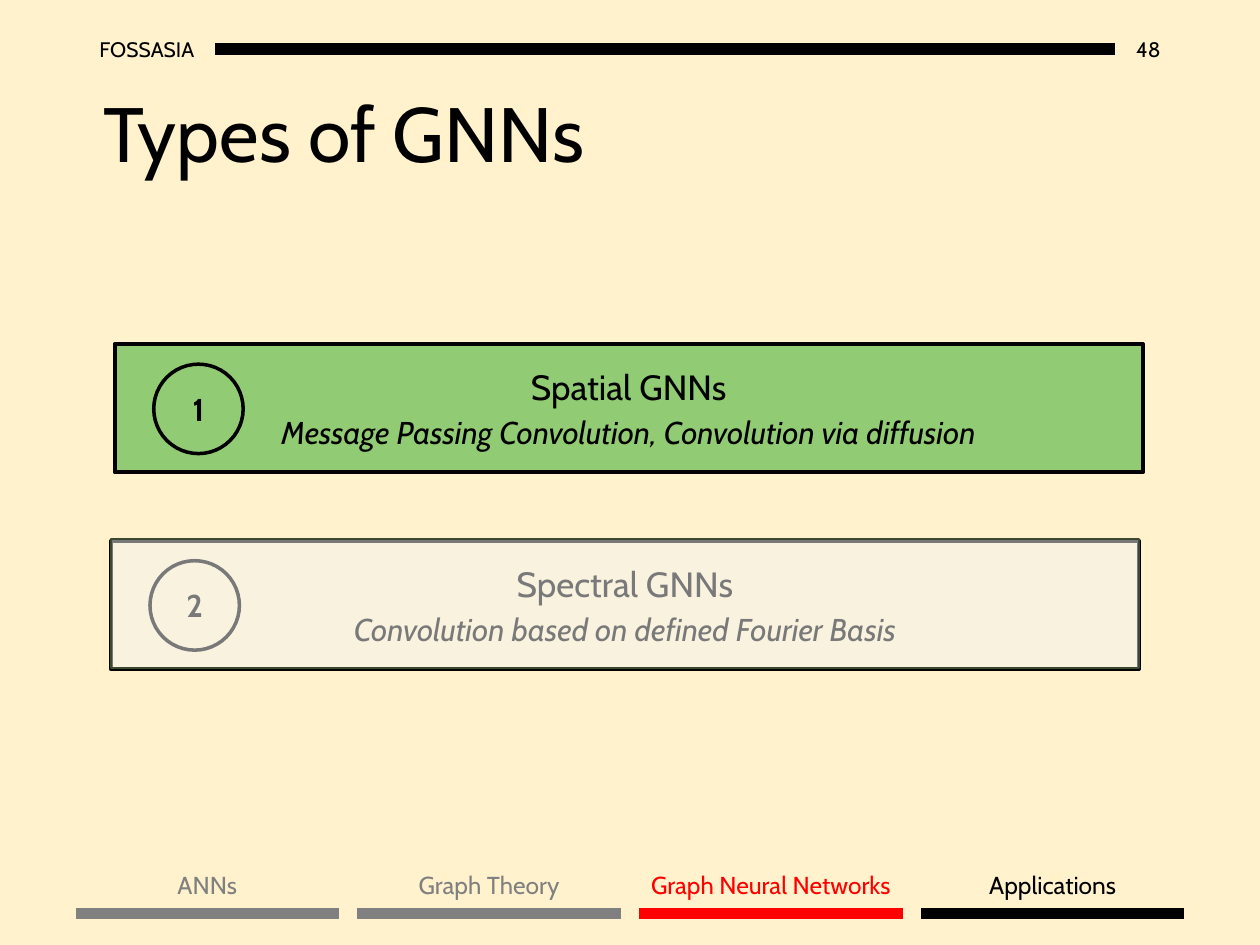
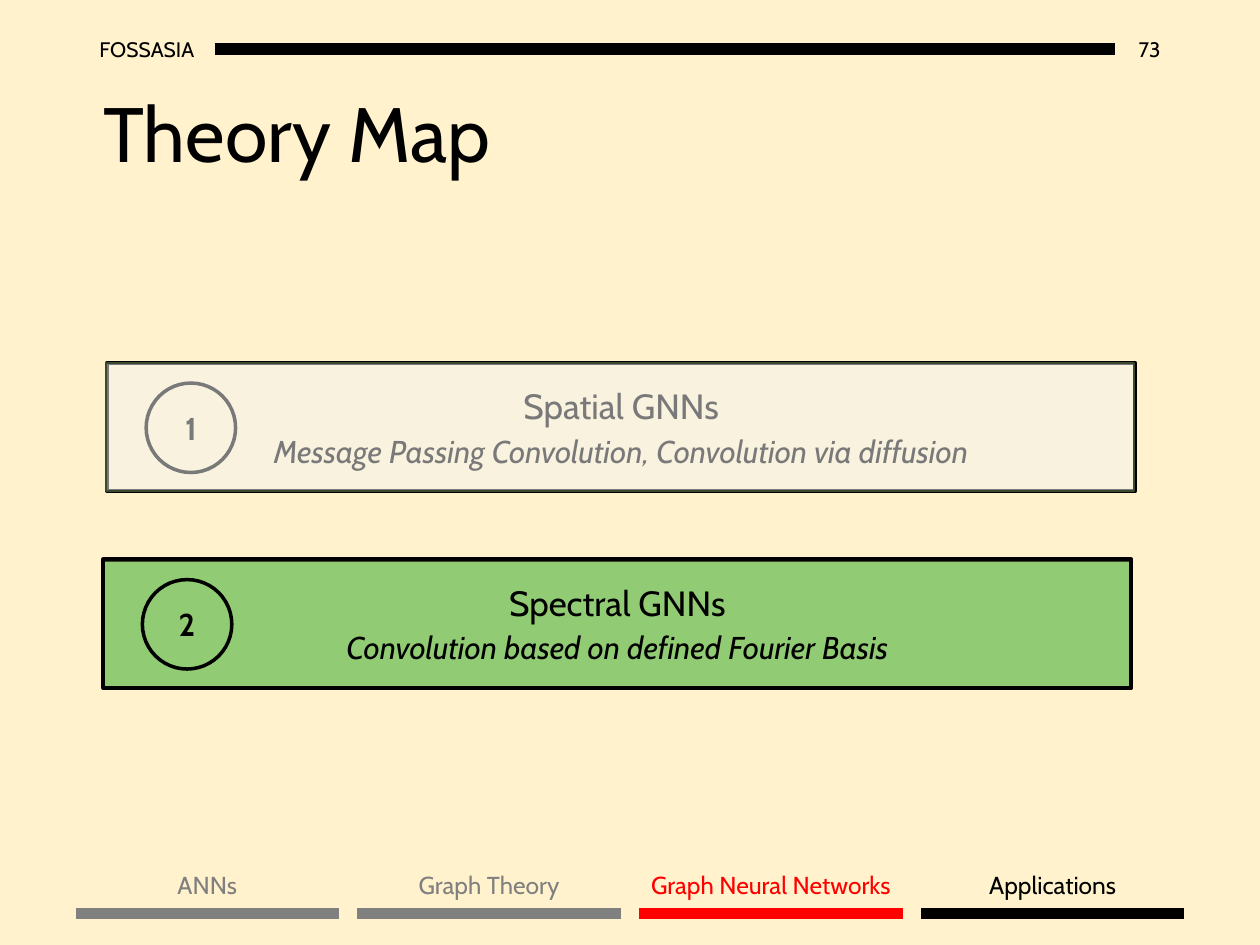
from dataclasses import dataclass
from typing import NamedTuple

from lxml import etree
from pptx import Presentation
from pptx.dml.color import RGBColor
from pptx.enum.shapes import MSO_CONNECTOR, MSO_SHAPE
from pptx.enum.text import MSO_ANCHOR, MSO_AUTO_SIZE, PP_ALIGN
from pptx.oxml.ns import qn
from pptx.util import Inches, Pt

RECT, OVAL = MSO_SHAPE.RECTANGLE, MSO_SHAPE.OVAL
STRAIGHT = MSO_CONNECTOR.STRAIGHT
LEFT, CENTER, RIGHT = PP_ALIGN.LEFT, PP_ALIGN.CENTER, PP_ALIGN.RIGHT
TOP, MIDDLE = MSO_ANCHOR.TOP, MSO_ANCHOR.MIDDLE
FIT_SHAPE, NO_FIT = MSO_AUTO_SIZE.SHAPE_TO_FIT_TEXT, MSO_AUTO_SIZE.NONE

WIDTH, HEIGHT = Inches(10), Inches(7.5)
COLUMNS, ROWS = 100, 75
TITLE_ONLY_LAYOUT = 5


@dataclass(frozen=True)
class Theme:
    font: str = "Cabin"
    background: str = "FFF2CC"
    ink: str = "000000"
    done: str = "808080"
    current: str = "FF0000"
    highlight: str = "25A61C"
    fade: str = "F2F2F2"
    overlay_edge: str = "3D4831"
    overlay_opacity: int = 50
    title_size: int = 44
    heading_size: int = 20
    detail_size: int = 18
    tab_size: int = 14
    header_size: int = 12


class Area(NamedTuple):
    """A box in grid columns and rows."""
    left: float
    top: float
    width: float
    height: float

    def moved(self, columns: float, rows: float) -> "Area":
        return self._replace(left=self.left + columns, top=self.top + rows)

    def lengths(self) -> tuple[int, int, int, int]:
        return (across(self.left), down(self.top),
                across(self.width), down(self.height))


class GnnType(NamedTuple):
    number: str
    heading: str
    detail: str


class Tab(NamedTuple):
    label: str
    color: str
    label_width: float


class MapSlide(NamedTuple):
    title: str
    page: str
    title_width: float
    first_card: tuple[float, float]
    active: int
    highlight_nudge: tuple[float, float]
    fade_nudge: tuple[float, float]


THEME = Theme()

GNN_TYPES = [
    GnnType("1", "Spatial GNNs", "Message Passing Convolution, Convolution via diffusion"),
    GnnType("2", "Spectral GNNs", "Convolution based on defined Fourier Basis"),
]
TABS = [
    Tab("ANNs", THEME.done, 6.9),
    Tab("Graph Theory", THEME.done, 13.7),
    Tab("Graph Neural Networks", THEME.current, 21.9),
    Tab("Applications", THEME.ink, 12.3),
]
SLIDES = [
    MapSlide("Types of GNNs", "48", 86.8, (9.1, 27.3), 0, (0.1, 0), (0, -0.1)),
    MapSlide("Theory Map", "73", 72.2, (8.5, 28.8), 1, (0, 0.1), (-0.1, 0)),
]

CARD_SIZE = (81.6, 10.2)
CARD_STEP = (-0.3, 15.6)
BADGE_OFFSET = (3.1, 1.6)
BADGE_SIZE = (7.1, 7.1)
HEADER_BAR = (17.1, 88.5, 3.9)
TABS_LEFT, TABS_RIGHT, TAB_WIDTH = 6, 94, 20.9
TAB_BAR_ROW, TAB_LABEL_ROW, TAB_LABEL_HEIGHT = 72.5, 68.6, 3.4


def across(columns: float) -> int:
    return round(WIDTH * columns / COLUMNS)


def down(rows: float) -> int:
    return round(HEIGHT * rows / ROWS)


def write(paragraph, text: str, size: int, align=LEFT, color: str = THEME.ink, **extra) -> None:
    paragraph.text = text
    paragraph.alignment = align
    formats = {"name": THEME.font, "size": Pt(size), **extra}
    for attribute, value in formats.items():
        setattr(paragraph.font, attribute, value)
    paragraph.font.color.rgb = RGBColor.from_string(color)


def format_frame(frame, **formats) -> None:
    for attribute, value in formats.items():
        setattr(frame, attribute, value)


def add_label(slide, area: Area, text: str, size: int, align, color: str = THEME.ink, **formats) -> None:
    frame = slide.shapes.add_textbox(*area.lengths()).text_frame
    format_frame(frame, **formats)
    write(frame.paragraphs[0], text, size, align, color)


def add_bar(slide, left: float, right: float, row: float, color: str, weight: float) -> None:
    bar = slide.shapes.add_connector(STRAIGHT, across(left), down(row), across(right), down(row))
    bar.line.color.rgb = RGBColor.from_string(color)
    bar.line.width = Pt(weight)
    etree.SubElement(bar._element.spPr, qn("a:effectLst"))


def add_outline(slide, kind, area: Area, color: str, weight: float):
    """Add an unfilled preset shape with a plain outline."""
    shape = slide.shapes.add_shape(kind, *area.lengths())
    shape.shadow.inherit = False
    shape.fill.background()
    shape.line.color.rgb = RGBColor.from_string(color)
    shape.line.width = Pt(weight)
    return shape


def add_overlay(slide, area: Area, color: str) -> None:
    """Add a half-transparent sheet that marks or fades a card."""
    sheet = add_outline(slide, RECT, area, THEME.overlay_edge, 1)
    sheet.fill.solid()
    sheet.fill.fore_color.rgb = RGBColor.from_string(color)
    tint = sheet._element.spPr.find(qn("a:solidFill")).find(qn("a:srgbClr"))
    etree.SubElement(tint, qn("a:alpha"), val=str(THEME.overlay_opacity * 1000))


def add_card(slide, area: Area, gnn: GnnType) -> None:
    frame = add_outline(slide, RECT, area, THEME.ink, 2.25).text_frame
    format_frame(frame, word_wrap=True, vertical_anchor=MIDDLE)
    write(frame.paragraphs[0], gnn.heading, THEME.heading_size, CENTER)
    detail = frame.add_paragraph()
    write(detail, gnn.detail, THEME.detail_size, CENTER, italic=True)
    detail.space_before = Pt(3)

    badge_area = Area(area.left, area.top, *BADGE_SIZE).moved(*BADGE_OFFSET)
    badge = add_outline(slide, OVAL, badge_area, THEME.ink, 2).text_frame
    format_frame(badge, word_wrap=True, vertical_anchor=MIDDLE)
    write(badge.paragraphs[0], gnn.number, THEME.detail_size, CENTER, bold=True)


def add_cards(slide, content: MapSlide) -> None:
    first = Area(*content.first_card, *CARD_SIZE)
    areas = [first.moved(CARD_STEP[0] * i, CARD_STEP[1] * i) for i in range(len(GNN_TYPES))]
    add_overlay(slide, areas[content.active].moved(*content.highlight_nudge), THEME.highlight)
    for area, gnn in zip(areas, GNN_TYPES):
        add_card(slide, area, gnn)
    for i, area in enumerate(areas):
        if i != content.active:
            add_overlay(slide, area.moved(*content.fade_nudge), THEME.fade)


def add_header(slide, page: str) -> None:
    add_label(slide, Area(88.5, 1.9, 4.6, 4), page, THEME.header_size, RIGHT,
              word_wrap=True, vertical_anchor=MIDDLE)
    add_label(slide, Area(6.9, 1.9, 10.2, 4), "FOSSASIA", THEME.header_size, LEFT,
              word_wrap=True, vertical_anchor=MIDDLE)
    add_bar(slide, *HEADER_BAR, THEME.ink, 7)


def add_tabs(slide) -> None:
    step = (TABS_RIGHT - TABS_LEFT - TAB_WIDTH) / (len(TABS) - 1)
    for i, tab in enumerate(TABS):
        left = TABS_LEFT + i * step
        add_bar(slide, left, left + TAB_WIDTH, TAB_BAR_ROW, tab.color, 6)
        label_left = left + (TAB_WIDTH - tab.label_width) / 2
        add_label(slide, Area(label_left, TAB_LABEL_ROW, tab.label_width, TAB_LABEL_HEIGHT),
                  tab.label, THEME.tab_size, CENTER, tab.color,
                  word_wrap=False, auto_size=FIT_SHAPE)


def set_title(slide, content: MapSlide) -> None:
    title = slide.shapes.title
    title.left, title.top, title.width, title.height = Area(
        7.2, 7.1, content.title_width, 14.1).lengths()
    format_frame(title.text_frame, word_wrap=True, vertical_anchor=TOP, auto_size=NO_FIT)
    heading = title.text_frame.paragraphs[0]
    write(heading, content.title, THEME.title_size)
    heading.line_spacing = 0.9


def main() -> None:
    deck = Presentation()
    deck.slide_width, deck.slide_height = WIDTH, HEIGHT
    backdrop = deck.slide_master.background.fill
    backdrop.solid()
    backdrop.fore_color.rgb = RGBColor.from_string(THEME.background)
    for content in SLIDES:
        slide = deck.slides.add_slide(deck.slide_layouts[TITLE_ONLY_LAYOUT])
        set_title(slide, content)
        add_header(slide, content.page)
        add_cards(slide, content)
        add_tabs(slide)
    deck.save("out.pptx")


if __name__ == "__main__":
    main()
